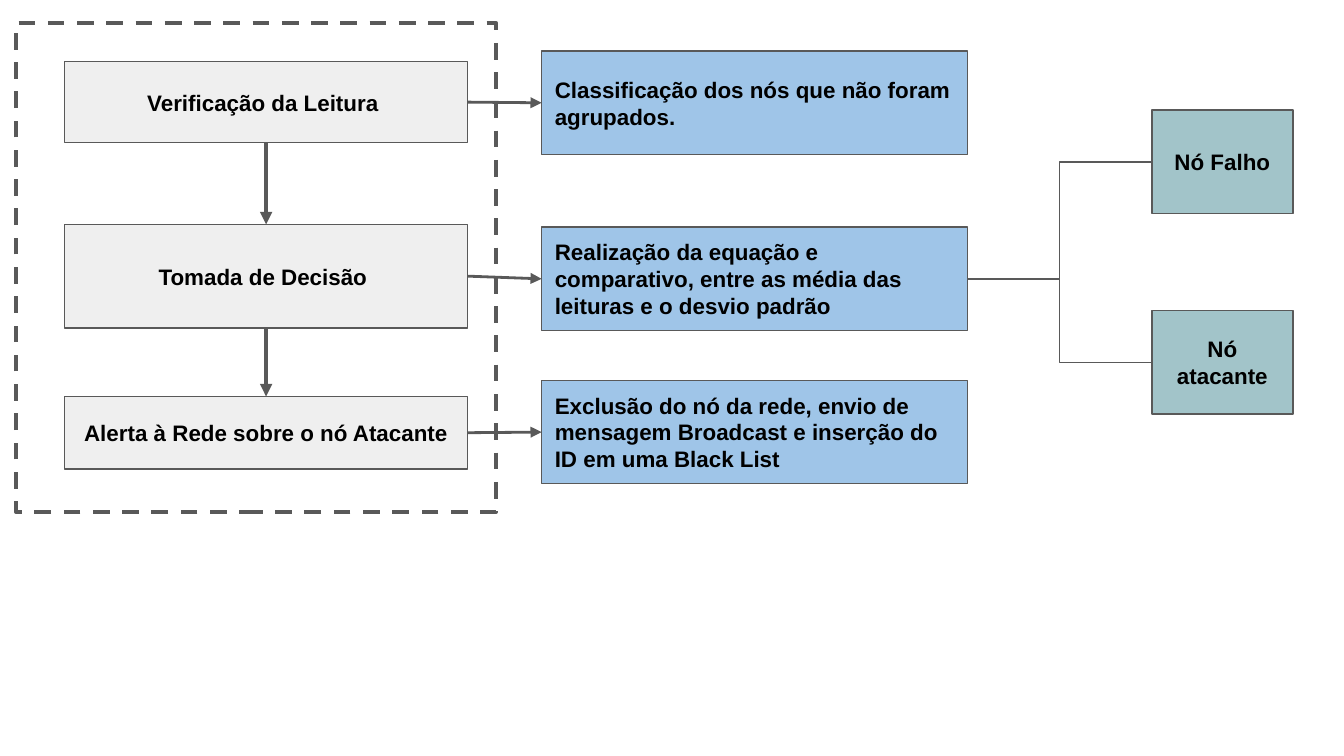
from lxml.etree import SubElement
from pptx import Presentation
from pptx.dml.color import RGBColor
from pptx.enum.dml import MSO_LINE
from pptx.enum.shapes import MSO_CONNECTOR, MSO_SHAPE
from pptx.enum.text import MSO_ANCHOR, PP_ALIGN
from pptx.oxml.ns import qn
from pptx.util import Inches, Pt

GRAY = RGBColor(0x59, 0x59, 0x59)
LIGHT_GRAY = RGBColor(0xEF, 0xEF, 0xEF)
BLUE = RGBColor(0x9F, 0xC5, 0xE8)
TEAL = RGBColor(0xA2, 0xC4, 0xC9)
BLACK = RGBColor(0, 0, 0)

TOP, LEFT, BOTTOM, RIGHT = range(4)
BOX_HEIGHT = 0.77
FRAME = (0.12, 0.17, 3.57, 3.64)

# Each column: left, width, fill, alignment and its boxes (text, top, height)
COLUMNS = {
    "steps": (0.48, 3, LIGHT_GRAY, PP_ALIGN.CENTER, [
        ("Verificação da Leitura ", 0.46, 0.6),
        ("Tomada de Decisão ", 1.67, BOX_HEIGHT),
        ("Alerta à Rede sobre o nó Atacante", 2.95, 0.54),
    ]),
    "details": (4.03, 3.17, BLUE, PP_ALIGN.LEFT, [
        ("Classificação dos nós que não foram agrupados.", 0.38, BOX_HEIGHT),
        ("Realização da equação e comparativo, entre as média das "
         "leituras e o desvio padrão", 1.69, BOX_HEIGHT),
        ("Exclusão do nó da rede, envio de mensagem Broadcast e inserção "
         "do ID em uma Black List", 2.83, BOX_HEIGHT),
    ]),
    "outcomes": (8.57, 1.05, TEAL, PP_ALIGN.CENTER, [
        ("Nó Falho", 0.82, BOX_HEIGHT),
        ("Nó atacante", 2.31, BOX_HEIGHT),
    ]),
}

FONT = {"name": "Arial", "size": Pt(12), "bold": True}
FRAME_FORMAT = {
    "word_wrap": True,
    "vertical_anchor": MSO_ANCHOR.MIDDLE,
    "margin_left": Inches(0.1),
    "margin_right": Inches(0.1),
    "margin_top": Inches(0.1),
    "margin_bottom": Inches(0.1),
}


def set_attributes(target, values):
    for name, value in values.items():
        setattr(target, name, value)


def add_rectangle(slide, bounds, line_width):
    shape = slide.shapes.add_shape(MSO_SHAPE.RECTANGLE, *map(Inches, bounds))
    shape.shadow.inherit = False
    shape.line.color.rgb = GRAY
    shape.line.width = Pt(line_width)
    return shape


def add_box(slide, text, bounds, fill, alignment):
    shape = add_rectangle(slide, bounds, 0.75)
    shape.fill.solid()
    shape.fill.fore_color.rgb = fill
    set_attributes(shape.text_frame, FRAME_FORMAT)
    paragraph = shape.text_frame.paragraphs[0]
    paragraph.text = text
    paragraph.alignment = alignment
    set_attributes(paragraph.font, FONT)
    paragraph.font.color.rgb = BLACK
    return shape


def join(slide, start, start_side, end, end_side, width,
         kind=MSO_CONNECTOR.STRAIGHT, arrow=True):
    """Connect the middles of two box sides, with an optional arrowhead."""
    connector = slide.shapes.add_connector(kind, 0, 0, 0, 0)
    connector.begin_connect(start, start_side)
    connector.end_connect(end, end_side)
    connector.line.color.rgb = GRAY
    connector.line.width = Pt(width)
    if arrow:
        line = connector.line._get_or_add_ln()
        SubElement(line, qn("a:tailEnd"), type="triangle")
    SubElement(connector._element.spPr, qn("a:effectLst"))


def main():
    presentation = Presentation()
    presentation.slide_width = Inches(10)
    presentation.slide_height = presentation.slide_width * 9 // 16
    slide = presentation.slides.add_slide(presentation.slide_layouts[6])

    frame = add_rectangle(slide, FRAME, 2.25)
    frame.fill.background()
    frame.line.dash_style = MSO_LINE.DASH

    boxes = {
        name: [add_box(slide, text, (left, top, width, height), fill, alignment)
               for text, top, height in rows]
        for name, (left, width, fill, alignment, rows) in COLUMNS.items()
    }
    steps, details = boxes["steps"], boxes["details"]

    for upper, lower in zip(steps, steps[1:]):
        join(slide, upper, BOTTOM, lower, TOP, 2.25)
    for step, detail in zip(steps, details):
        join(slide, step, RIGHT, detail, LEFT, 1.5)
    for outcome in boxes["outcomes"]:
        join(slide, details[1], RIGHT, outcome, LEFT, 0.75,
             MSO_CONNECTOR.ELBOW, arrow=False)

    presentation.save("out.pptx")


if __name__ == "__main__":
    main()
